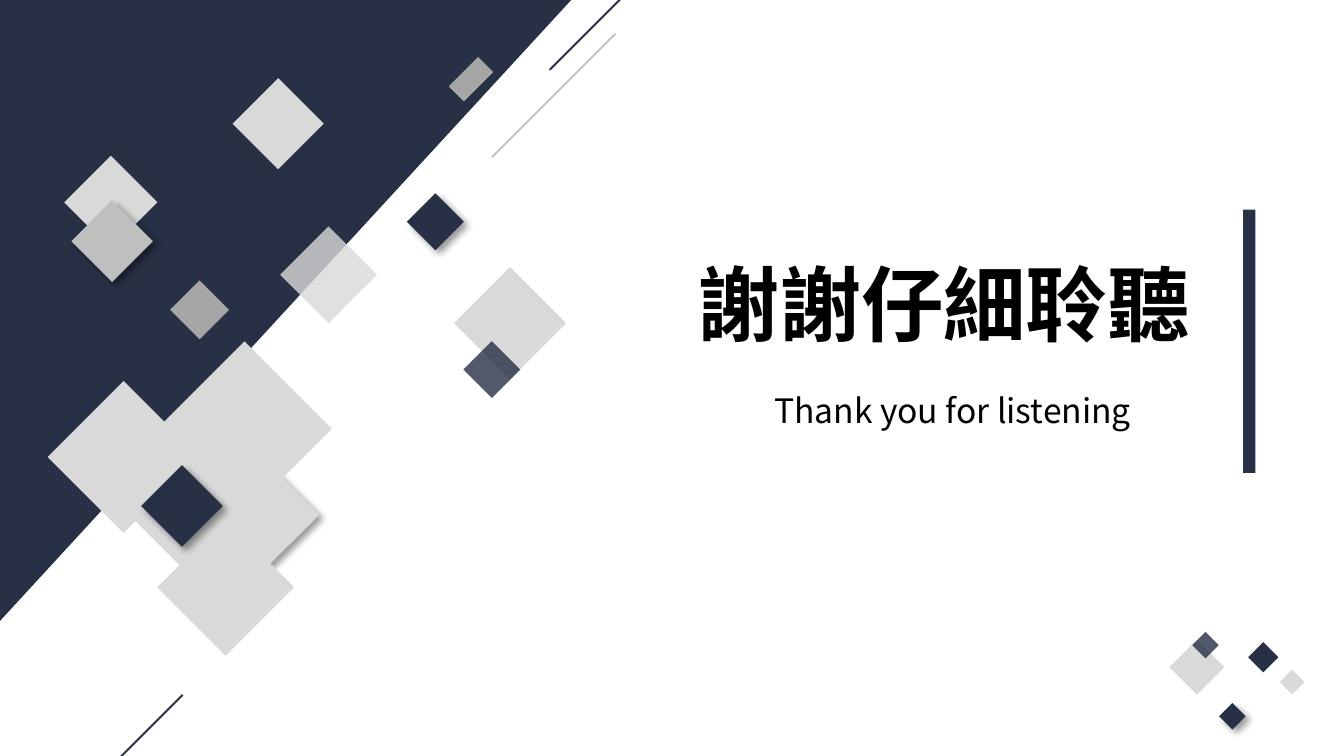
from lxml import etree
from pptx import Presentation
from pptx import util as u
from pptx.dml.color import RGBColor
from pptx.enum import shapes, text
from pptx.oxml.ns import qn

NAVY = RGBColor(0x27, 0x30, 0x45)
PALE = RGBColor(0xD9, 0xD9, 0xD9)
SILVER = RGBColor(0xBF, 0xBF, 0xBF)
GREY = RGBColor(0xA6, 0xA6, 0xA6)
BLACK = RGBColor(0, 0, 0)
FONT = "Noto Sans CJK SC"

# Grid: 100 columns across the slide, with square cells.
WIDTH, HEIGHT = u.Inches(10), u.Inches(5.625)
CELL = WIDTH / 100


def cells(*values):
    return [round(v * CELL) for v in values]


def add_filled(parent, kind, box, color, alpha=100, rotation=0):
    sp = parent.add_shape(kind, *cells(*box))
    sp.rotation = rotation
    sp.shadow.inherit = False
    sp.fill.solid()
    sp.fill.fore_color.rgb = color
    sp.line.fill.background()
    if alpha < 100:
        clr = sp._element.spPr.find(".//" + qn("a:srgbClr"))
        etree.SubElement(clr, qn("a:alpha"), val=str(alpha * 1000))
    return sp


def add_shadow(sp):
    effects = sp._element.spPr.find(qn("a:effectLst"))
    shadow = etree.SubElement(
        effects, qn("a:outerShdw"), blurRad=str(u.Pt(4)), dist=str(u.Pt(3)),
        dir=str(45 * 60000), algn="tl", rotWithShape="0")
    clr = etree.SubElement(shadow, qn("a:srgbClr"), val="000000")
    etree.SubElement(clr, qn("a:alpha"), val="40000")


def add_diamonds(parent, origin, items):
    """Turned squares: left, top, width, height, colour, opacity, shadow."""
    left, top = origin
    for x, y, w, h, color, alpha, shadow in items:
        sp = add_filled(parent, shapes.MSO_SHAPE.RECTANGLE,
                        (left + x, top + y, w, h), color, alpha, 315)
        if shadow:
            add_shadow(sp)


def add_corner(s, w, h):
    """Triangle that fills the top left corner, with diamonds around its edge."""
    box = ((w - h) / 2, (h - w) / 2, h, w)  # unrotated frame
    sp = add_filled(s.shapes, shapes.MSO_SHAPE.ISOSCELES_TRIANGLE, box, NAVY,
                    rotation=90)
    sp.adjustments[0] = 0
    add_diamonds(s.shapes, (0, 0), [
        (18.3, 6.8, 4.8, 4.8, PALE, 100, False),
        (13.3, 21.5, 3.1, 3.1, GREY, 100, False),
        (5.8, 12.6, 4.9, 4.9, PALE, 100, False),
        (6.2, 15.8, 4.3, 4.3, SILVER, 100, True),
        (33.5, 5.1, 3.1, 1.6, GREY, 100, False),
        (35, 21.1, 5.9, 5.9, PALE, 100, False),
        (30.9, 15, 3, 3, NAVY, 100, True),
        (35.1, 26, 3, 3, NAVY, 80, False),
        (21.9, 17.9, 5.1, 5.1, PALE, 80, False),
    ])


def add_large_cluster(s, origin):
    group = s.shapes.add_group_shape()
    add_diamonds(group.shapes, origin, [
        (0, 2.7, 8, 8, PALE, 100, False),
        (10.6, 7.7, 6.6, 6.6, PALE, 100, True),
        (8.4, 6.1, 4.1, 4.1, PALE, 100, False),
        (8, 12.8, 7.2, 7.2, PALE, 100, False),
        (5.3, 6.8, 7.2, 7.2, PALE, 100, False),
        (8.4, 0, 9.2, 9.2, PALE, 100, False),
    ])
    add_diamonds(s.shapes, origin, [(6.2, 8.2, 4.3, 4.3, NAVY, 100, True)])


def add_small_cluster(s, origin):
    group = s.shapes.add_group_shape()
    add_diamonds(group.shapes, origin, [
        (5.6, 0.8, 1.6, 1.6, NAVY, 100, False),
        (7.9, 2.8, 1.3, 1.3, PALE, 100, False),
        (0, 0.9, 2.9, 2.9, PALE, 100, False),
        (3.4, 5.3, 1.4, 1.4, NAVY, 100, True),
        (1.4, 0, 1.4, 1.4, NAVY, 80, False),
    ])


def add_diagonal(s, x, y, color, run=9.2):
    """Line rising at 45 degrees from its lower left end."""
    line = s.shapes.add_connector(shapes.MSO_CONNECTOR.STRAIGHT,
                                  *cells(x, y, x + run, y - run))
    line.line.color.rgb = color
    line.line.width = u.Pt(1)
    etree.SubElement(line._element.spPr, qn("a:effectLst"))


def add_text(s, box, words, size, bold=False, align=None, wrap=True):
    tf = s.shapes.add_textbox(*cells(*box)).text_frame
    tf.word_wrap = wrap
    tf.auto_size = text.MSO_AUTO_SIZE.SHAPE_TO_FIT_TEXT
    p = tf.paragraphs[0]
    p.text = words
    p.alignment = align
    r = p.runs[0]
    r.font.size, r.font.bold, r.font.name = u.Pt(size), bold, FONT
    r.font.color.rgb = BLACK
    etree.SubElement(r._r.get_or_add_rPr(), qn("a:ea"), typeface=FONT)


def add_closing(s, left, top, w, h):
    """Closing words, with an upright bar along the right side of the box."""
    add_text(s, (left + 12.2, top + 2.8, 39, 8.4), "謝謝仔細聆聽", 44,
             bold=True, wrap=False)
    add_text(s, (left, top + 12.9, 47, 4), "Thank you for listening ", 18,
             align=text.PP_ALIGN.RIGHT)
    bar = 0.9
    add_filled(s.shapes, shapes.MSO_SHAPE.RECTANGLE,
               (left + w - bar, top, bar, h), NAVY)


def main():
    prs = Presentation()
    prs.slide_width, prs.slide_height = WIDTH, HEIGHT
    s = prs.slides.add_slide(prs.slide_layouts[6])
    add_corner(s, 42.5, 46.2)
    add_large_cluster(s, (5.2, 27.3))
    add_closing(s, 38.7, 15.6, 54.7, 19.6)
    add_small_cluster(s, (87.6, 47.3))
    for x, y, color in [(40.9, 5.2, NAVY), (36.6, 11.7, SILVER),
                        (4.4, 60.9, NAVY)]:
        add_diagonal(s, x, y, color)
    prs.save("out.pptx")


if __name__ == "__main__":
    main()
